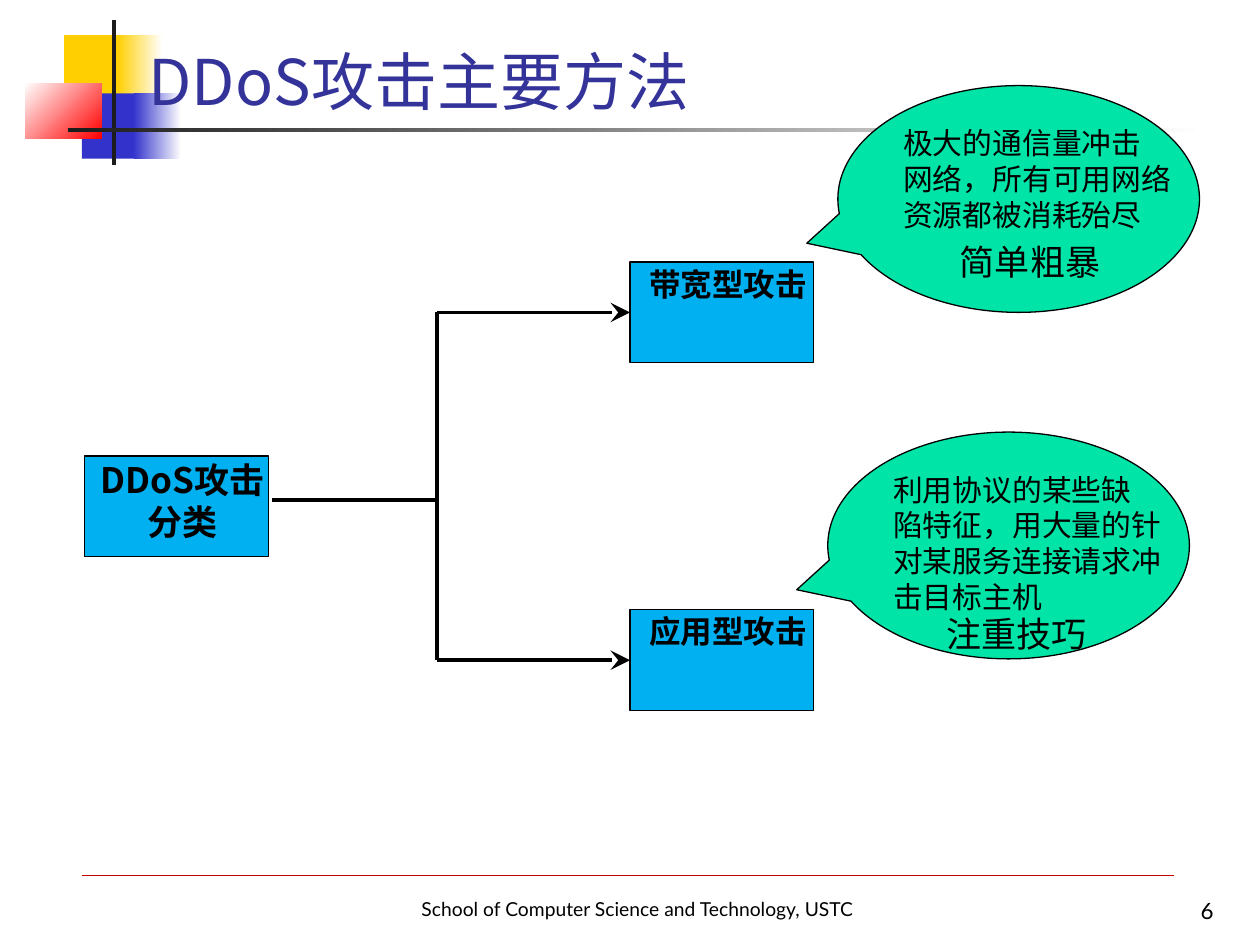
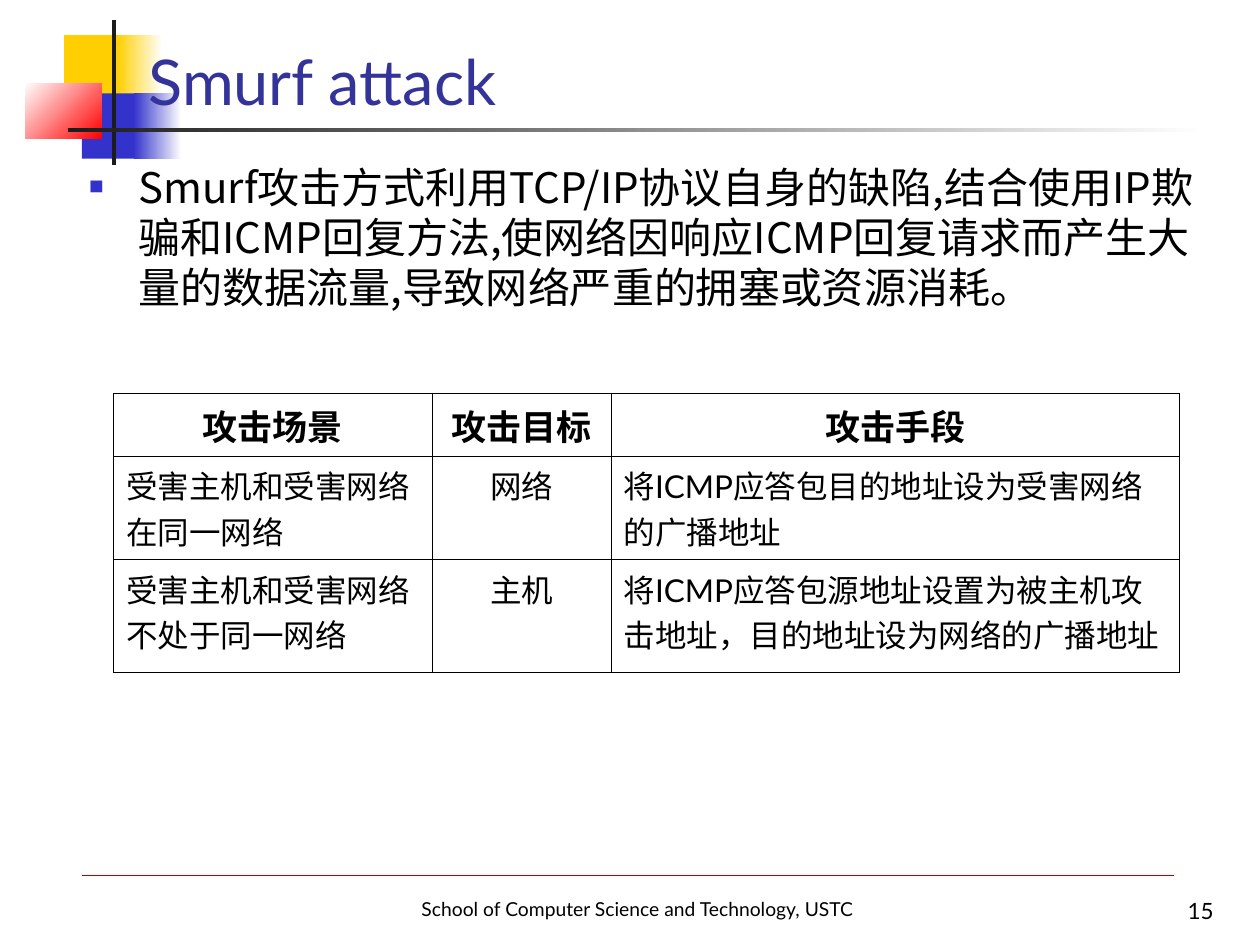
from lxml import etree
from pptx import Presentation
from pptx import util as u
from pptx.dml.color import RGBColor
from pptx.enum import shapes as sh, text as tx
from pptx.oxml import ns

INK = RGBColor(0, 0, 0)
WHITE = RGBColor(0xFF, 0xFF, 0xFF)
GOLD = RGBColor(0xFF, 0xCF, 0x01)
BLUE = RGBColor(0x33, 0x33, 0xCC)
RED = RGBColor(0xFF, 0, 0)
COAL = RGBColor(0x1C, 0x1C, 0x1C)
NAVY = RGBColor(0x33, 0x33, 0x99)
SKY = RGBColor(0, 0xB0, 0xF0)
MINT = RGBColor(0, 0xE4, 0xA8)
WINE = RGBColor(0xC0, 0, 0)

LATO, NOTO = "Lato", "Noto Sans CJK SC"
LEFT, MID, RIGHT = tx.PP_ALIGN.LEFT, tx.PP_ALIGN.CENTER, tx.PP_ALIGN.RIGHT
RECT, BUBBLE = sh.MSO_SHAPE.RECTANGLE, sh.MSO_SHAPE.OVAL_CALLOUT


def inch(*vals):
    return [u.Inches(v) for v in vals]


def sub(parent, tag, **attrs):
    return etree.SubElement(parent, ns.qn(tag), attrs)


def put(obj, vals):
    for key, val in vals.items():
        setattr(obj, key, val)


# Text
def write(frame, lines, size, font=NOTO, align=LEFT, color=INK, bold=False):
    for i, line in enumerate(lines):
        para = frame.paragraphs[0] if i == 0 else frame.add_paragraph()
        put(para, {"alignment": align, "line_spacing": 1.0})
        run = para.add_run()
        run.text = line
        put(run.font, {"name": font, "size": u.Pt(size), "bold": bold})
        run.font.color.rgb = color
        sub(run.font._element, "a:ea", typeface=NOTO)


def label(slide, box, lines, size, wrap=True, anchor=tx.MSO_ANCHOR.TOP, **style):
    shape = slide.shapes.add_textbox(*inch(*box))
    put(shape.text_frame, {"word_wrap": wrap, "vertical_anchor": anchor})
    write(shape.text_frame, lines, size, **style)
    return shape


# Shapes and lines
def block(slide, kind, box, fill, edge=None):
    shape = slide.shapes.add_shape(kind, *inch(*box))
    shape.shadow.inherit = False
    shape.fill.solid()
    shape.fill.fore_color.rgb = fill
    if edge is None:
        shape.line.fill.background()
    else:
        shape.line.color.rgb = edge
        shape.line.width = u.Pt(0.75)
    return shape


def fade(slide, box, start, end, angle=0):
    shape = block(slide, RECT, box, start)
    shape.fill.gradient()
    shape.fill.gradient_angle = angle
    for stop, color in zip(shape.fill.gradient_stops, (start, end)):
        stop.color.rgb = color


def rule(slide, start, end, color=INK, width=2.25):
    line = slide.shapes.add_connector(sh.MSO_CONNECTOR.STRAIGHT,
                                      *inch(*start, *end))
    line.line.color.rgb = color
    line.line.width = u.Pt(width)
    sub(line._element.spPr, "a:effectLst")
    return line


# Shared decoration, drawn once and moved to the layout
def decorate(slide, layout):
    block(slide, RECT, (0.51, 0.28, 0.46, 0.5), GOLD)
    fade(slide, (0.93, 0.28, 0.36, 0.5), GOLD, WHITE)
    block(slide, RECT, (0.65, 0.74, 0.46, 0.52), BLUE)
    fade(slide, (1.06, 0.74, 0.38, 0.52), BLUE, WHITE)
    fade(slide, (0.2, 0.66, 0.61, 0.44), WHITE, RED, 315)
    block(slide, RECT, (0.89, 0.16, 0.03, 1.15), COAL)
    fade(slide, (0.54, 1.02, 9.02, 0.03), COAL, WHITE)
    label(slide, (3.22, 7.07, 3.68, 0.47),
          ["School of Computer Science and Technology, USTC"],
          11, font=LATO, align=MID)
    rule(slide, (0.65, 6.95), (9.32, 6.95), WINE, 0.25)
    for shape in list(slide.shapes):
        if not shape.is_placeholder:
            layout.shapes._spTree.append(shape._element)


def head(slide, words, number, font):
    title = slide.shapes.title
    left, top, width, height = inch(1.08, 0.23, 8.44, 0.76)
    put(title, {"left": left, "top": top, "width": width, "height": height})
    put(title.text_frame, {"vertical_anchor": tx.MSO_ANCHOR.BOTTOM,
                           "word_wrap": True,
                           "auto_size": tx.MSO_AUTO_SIZE.NONE})
    write(title.text_frame, [words], 36, font=font, color=NAVY)
    label(slide, (8.62, 7.03, 1.11, 0.35), [number], 12.8, font=LATO,
          align=RIGHT, anchor=tx.MSO_ANCHOR.BOTTOM)


# Classification tree
def node(slide, left, top, words, size):
    shape = block(slide, RECT, (left, top, 1.46, 0.8), SKY, INK)
    frame = shape.text_frame
    pad = u.Inches(0.02)
    put(frame, {"margin_left": u.Inches(0.12), "margin_right": pad,
                "margin_top": pad, "margin_bottom": pad, "word_wrap": True,
                "vertical_anchor": tx.MSO_ANCHOR.TOP})
    write(frame, [words], size, align=MID, bold=True)
    return shape


def bubble(slide, left, top, lines, note, dx, dy):
    shape = block(slide, BUBBLE, (left, top, 2.87, 1.8), MINT, INK)
    shape.adjustments[0], shape.adjustments[1] = -0.586, 0.195
    put(shape.text_frame, {"word_wrap": False,
                           "vertical_anchor": tx.MSO_ANCHOR.TOP})
    write(shape.text_frame, lines, 17)
    label(slide, (left + dx, top + dy, 1.31, 0.44), [note], 20, wrap=False)


def branch(slide, fork, left, top, words):
    leaf = node(slide, left, top, words, 18)
    mid = top + 0.4
    rule(slide, fork, (fork[0], mid))
    arrow = rule(slide, (fork[0], mid), (left, mid))
    arrow.end_connect(leaf, 1)
    sub(arrow.line._get_or_add_ln(), "a:tailEnd", type="stealth",
        w="lg", len="lg")


def tree(slide):
    fork = (3.47, 3.97)
    node(slide, 0.67, 3.62, "DDoS攻击分类", 20)
    rule(slide, (2.16, 3.97), fork)
    branch(slide, fork, 5, 2.08, "带宽型攻击")
    branch(slide, fork, 5, 4.84, "应用型攻击")
    bubble(slide, 6.65, 0.68,
           ["极大的通信量冲击", "网络，所有可用网络", "资源都被消耗殆尽"],
           "简单粗暴", 0.87, 1.18)
    bubble(slide, 6.57, 3.43,
           ["利用协议的某些缺", "陷特征，用大量的针", "对某服务连接请求冲", "击目标主机"],
           "注重技巧", 0.84, 1.38)


# Bulleted paragraph
def bullet(slide, box, words):
    shape = label(slide, box, [words], 24)
    props = shape.text_frame.paragraphs[0]._p.get_or_add_pPr()
    dent = u.Inches(0.39)
    props.set("marL", str(dent))
    props.set("indent", str(-dent))
    props.set("hangingPunct", "0")
    sub(sub(props, "a:buClr"), "a:srgbClr", val=str(BLUE))
    sub(props, "a:buSzPct", val="35000")
    sub(props, "a:buFont", typeface=NOTO)
    sub(props, "a:buChar", char="■")


# Table of scenes
def border(cell):
    props = cell._tc.get_or_add_tcPr()
    for i, side in enumerate(("a:lnL", "a:lnR", "a:lnT", "a:lnB")):
        line = sub(props, side, w=str(u.Pt(0.45)))
        sub(sub(line, "a:solidFill"), "a:srgbClr", val=str(INK))
        props.insert(i, line)


def grid(slide, left, top, cols, rows, data):
    frame = slide.shapes.add_table(
        len(rows), len(cols), *inch(left, top, sum(cols), sum(rows)))
    table = frame.table
    put(table, {"first_row": False, "horz_banding": False})
    for col, width in zip(table.columns, cols):
        col.width = u.Inches(width)
    for row, height in zip(table.rows, rows):
        row.height = u.Inches(height)
    for r, line in enumerate(data):
        for c, words in enumerate(line):
            cell = table.cell(r, c)
            cell.fill.background()
            border(cell)
            top_row = r == 0
            write(cell.text_frame, words.split("\n"), 20 if top_row else 18,
                  font=NOTO if top_row else LATO, bold=top_row,
                  align=MID if top_row or c == 1 else LEFT)


def smurf(slide):
    bullet(slide, (0.61, 1.23, 9.04, 5.68),
           "Smurf攻击方式利用TCP/IP协议自身的缺陷,结合使用IP欺骗和ICMP回复方法,"
           "使网络因响应ICMP回复请求而产生大量的数据流量,导致网络严重的拥塞或资源消耗。")
    grid(slide, 0.9, 3.12, (2.53, 1.42, 4.51), (0.5, 0.82, 0.9), [
        ("攻击场景", "攻击目标", "攻击手段"),
        ("受害主机和受害网络\n在同一网络", "网络",
         "将ICMP应答包目的地址设为受害网络的广播地址"),
        ("受害主机和受害网络\n不处于同一网络", "主机",
         "将ICMP应答包源地址设置为被主机攻击地址，目的地址设为网络的广播地址"),
    ])


def main():
    prs = Presentation()
    prs.slide_width, prs.slide_height = inch(10, 7.5)
    layout = prs.slide_layouts[5]
    first, second = [prs.slides.add_slide(layout) for _ in range(2)]
    decorate(first, layout)
    head(first, "DDoS攻击主要方法", "6", NOTO)
    tree(first)
    head(second, "Smurf attack", "15", LATO)
    smurf(second)
    prs.save("out.pptx")


if __name__ == "__main__":
    main()
